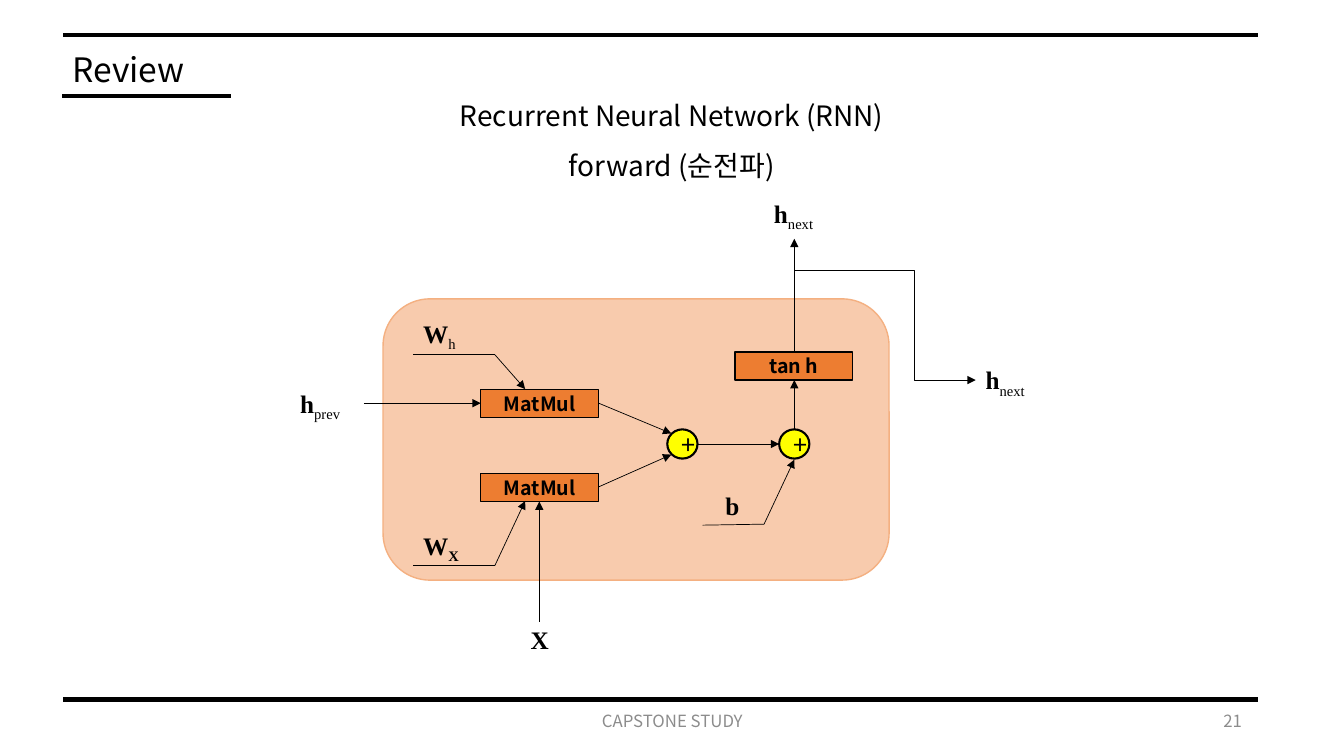
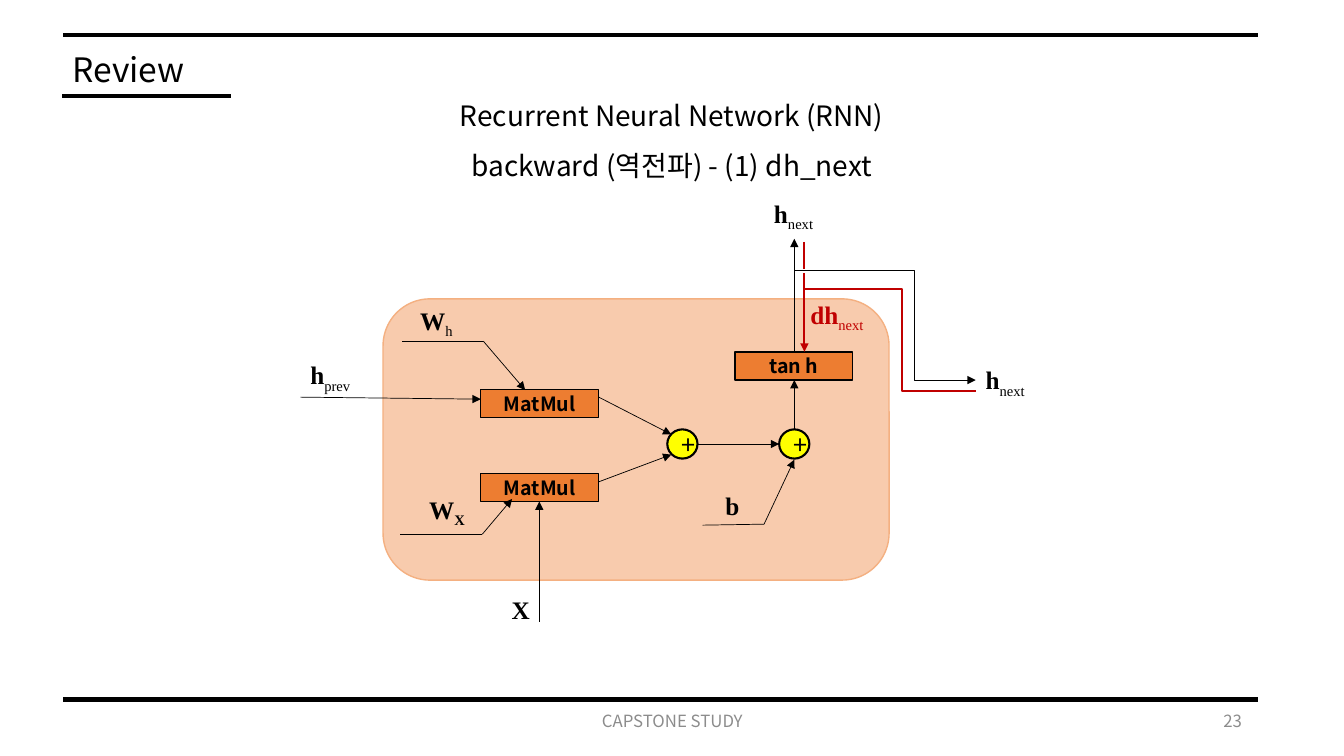
from dataclasses import dataclass
from itertools import pairwise

from lxml.etree import SubElement
from pptx import Presentation
from pptx.dml.color import RGBColor as RGB
from pptx.enum.shapes import MSO_CONNECTOR as Link, MSO_SHAPE as Form
from pptx.enum.text import MSO_ANCHOR as Anchor, MSO_AUTO_SIZE as Auto, PP_ALIGN as Align
from pptx.oxml.ns import qn
from pptx.slide import Slide
from pptx.text.text import TextFrame
from pptx.util import Inches, Pt

CELL = 0.1
COLS, ROWS = 133.33, 75

BLACK = RGB(0x00, 0x00, 0x00)
GRAY = RGB(0x8C, 0x8C, 0x8C)
RED = RGB(0xC0, 0x00, 0x00)
PEACH = RGB(0xF8, 0xCB, 0xAD)
CORAL = RGB(0xF4, 0xB0, 0x81)
ORANGE = RGB(0xED, 0x7D, 0x31)
YELLOW = RGB(0xFF, 0xFF, 0x00)
SANS, SERIF = "Noto Sans CJK KR", "Times New Roman"

Point = tuple[float, float]


@dataclass(frozen=True)
class Run:
    text: str
    size: float
    font: str = SANS
    ink: RGB = BLACK
    bold: bool = False
    sub: bool = False


@dataclass(frozen=True)
class Label:
    col: float
    row: float
    wide: float
    high: float
    lines: tuple[tuple[Run, ...], ...]
    align: Align = Align.LEFT
    space: float = 1
    grow: bool = True


@dataclass(frozen=True)
class Node:
    form: Form
    col: float
    row: float
    wide: float
    high: float
    fill: RGB
    edge: RGB = BLACK
    width: float = 1
    run: Run | None = None


@dataclass(frozen=True)
class Wire:
    points: tuple[Point, ...]
    head: bool = True
    ink: RGB = BLACK
    width: float = 0.5
    bend: float | None = None


@dataclass(frozen=True)
class Page:
    number: str
    topic: str
    wires: tuple[Wire, ...]
    labels: tuple[Label, ...]


def grid(cells: float) -> int:
    return Inches(cells * CELL)


def add_runs(frame: TextFrame, lines: tuple[tuple[Run, ...], ...], align: Align,
             space: float = 1) -> None:
    for spot, line in enumerate(lines):
        para = frame.add_paragraph() if spot else frame.paragraphs[0]
        para.alignment = align
        para.line_spacing = space
        for item in line:
            run = para.add_run()
            run.text = item.text
            font = run.font
            font.size, font.name, font.bold = Pt(item.size), item.font, item.bold
            font.color.rgb = item.ink
            props = run._r.get_or_add_rPr()
            SubElement(props, qn("a:ea")).set("typeface", item.font)
            if item.sub:
                props.set("baseline", "-25000")


def draw_label(slide: Slide, label: Label) -> None:
    box = slide.shapes.add_textbox(*map(grid, (label.col, label.row, label.wide, label.high)))
    frame = box.text_frame
    frame.word_wrap = True
    frame.auto_size = Auto.SHAPE_TO_FIT_TEXT if label.grow else Auto.NONE
    frame.vertical_anchor = Anchor.TOP if label.grow else Anchor.MIDDLE
    add_runs(frame, label.lines, label.align, label.space)


def draw_node(slide: Slide, node: Node) -> None:
    shape = slide.shapes.add_shape(
        node.form, *map(grid, (node.col, node.row, node.wide, node.high)))
    shape.shadow.inherit = False
    shape.fill.solid()
    shape.fill.fore_color.rgb = node.fill
    shape.line.color.rgb = node.edge
    shape.line.width = Pt(node.width)
    if node.run:
        shape.text_frame.vertical_anchor = Anchor.MIDDLE
        add_runs(shape.text_frame, ((node.run,),), Align.CENTER)


def draw_wire(slide: Slide, wire: Wire) -> None:
    kind = Link.STRAIGHT if wire.bend is None else Link.ELBOW
    for start, end in pairwise(wire.points):
        link = slide.shapes.add_connector(kind, *map(grid, start + end))
        link.line.color.rgb = wire.ink
        link.line.width = Pt(wire.width)
        props = link._element.spPr
        SubElement(props, qn("a:effectLst"))
        if wire.bend is not None:
            guide = SubElement(props.find(qn("a:prstGeom")).find(qn("a:avLst")), qn("a:gd"))
            guide.set("name", "adj1")
            guide.set("fmla", f"val {round(wire.bend * 100000)}")
        if wire.head and end == wire.points[-1]:
            SubElement(link.line._get_or_add_ln(), qn("a:tailEnd")).set("type", "triangle")


def sign(col: float, row: float, name: str, sub: str = "", wide: float = 7.7,
         ink: RGB = BLACK, bold: bool = False) -> Label:
    runs = (Run(name, 18, SERIF, ink, True),)
    if sub:
        runs += (Run(sub, 18, SERIF, ink, bold, True),)
    return Label(col, row, wide, 4, (runs,), Align.LEFT if sub else Align.CENTER)


def block(col: float, row: float, name: str) -> Node:
    return Node(Form.RECTANGLE, col, row, 11.7, 2.8, ORANGE, run=Run(name, 14, bold=True))


def adder(col: float) -> Node:
    return Node(Form.OVAL, col, 42.6, 3, 2.9, YELLOW, width=1.5, run=Run("+", 18))


def note(col: float, wide: float, text: str, align: Align) -> Label:
    return Label(col, 69.5, wide, 4, ((Run(text, 12, ink=GRAY),),), align, grow=False)


def rule(left: float, right: float, row: float) -> Wire:
    return Wire(((left, row), (right, row)), False, width=3)


RULES = (rule(6.3, 124.8, 3.5), rule(6.3, 124.8, 69.4), rule(6.2, 22.9, 9.5))
NODES = (
    Node(Form.ROUNDED_RECTANGLE, 38, 29.65, 50.2, 27.9, PEACH, CORAL),
    block(47.7, 38.65, "MatMul"),
    block(47.7, 46.95, "MatMul"),
    block(72.9, 34.9, "tan h"),
    adder(66.2),
    adder(77.3),
)
WIRES = (
    Wire(((69.1, 44.05), (77.3, 44.05))),
    Wire(((78.8, 42.6), (78.8, 37.7))),
    Wire(((69.7, 52.1), (75.8, 52), (78.8, 45.6))),
    Wire(((78.8, 34.9), (78.8, 23.7))),
    Wire(((78.8, 26.8), (96.8, 37.7)), bend=0.66),
    Wire(((53.5, 61.7), (53.5, 49.75))),
)
LABELS = (
    sign(69.7, 48.2, "b", wide=5.9),
    sign(75.8, 19.2, "h", "next"),
    sign(96.8, 35.7, "h", "next"),
)
PAGES = (
    Page("21", "forward (순전파)", (
        Wire(((36.1, 40), (47.7, 40))),
        Wire(((59.4, 40), (66.6, 43))),
        Wire(((59.4, 48.3), (66.6, 45.1))),
        Wire(((41, 35.2), (49.1, 35.2), (52.1, 38.6))),
        Wire(((41, 56.1), (49.1, 56.1), (52.1, 49.7))),
    ), (
        sign(41, 31.1, "W", "h", 5.9),
        sign(41, 52.1, "W", "X", 5.9, bold=True),
        sign(28.8, 38, "h", "prev"),
        sign(50.6, 61.4, "X", wide=5.9),
    )),
    Page("23", "backward (역전파) - (1) dh_next", (
        Wire(((29.8, 39.4), (47.7, 39.6))),
        Wire(((59.4, 39.4), (66.6, 43.1))),
        Wire(((59.4, 47.8), (66.6, 45.1))),
        Wire(((39.9, 33.85), (47.95, 33.85), (52.1, 38.7))),
        Wire(((39.7, 53), (47.85, 53), (50.8, 49.5))),
        Wire(((79.8, 24), (79.8, 26.7)), False, RED, 1.5),
        Wire(((79.8, 27.1), (79.8, 34.9)), True, RED, 1.5),
        Wire(((79.8, 28.7), (96.8, 38.8)), False, RED, 1.5, 0.57),
    ), (
        sign(40.7, 29.8, "W", "h", 5.9),
        sign(41.6, 48.5, "W", "X", 5.9, bold=True),
        sign(29.8, 35.2, "h", "prev"),
        sign(48.7, 58.5, "X", wide=5.9),
        sign(79.4, 29.2, "dh", "next", 9, RED),
    )),
)

deck = Presentation()
deck.slide_width, deck.slide_height = grid(COLS), grid(ROWS)
for page in PAGES:
    slide = deck.slides.add_slide(deck.slide_layouts[6])
    heads = (
        Label(6.2, 4.4, 100, 5, ((Run("Review", 24),),)),
        note(94.2, 30, page.number, Align.RIGHT),
        note(44.2, 45, "CAPSTONE STUDY", Align.CENTER),
        Label(30, 7.6, 73.3, 10.6,
              ((Run("Recurrent Neural Network (RNN)", 20),), (Run(page.topic, 20),)),
              Align.CENTER, 1.5),
    )
    for node in NODES:
        draw_node(slide, node)
    for wire in RULES + WIRES + page.wires:
        draw_wire(slide, wire)
    for label in heads + LABELS + page.labels:
        draw_label(slide, label)
deck.save("out.pptx")
